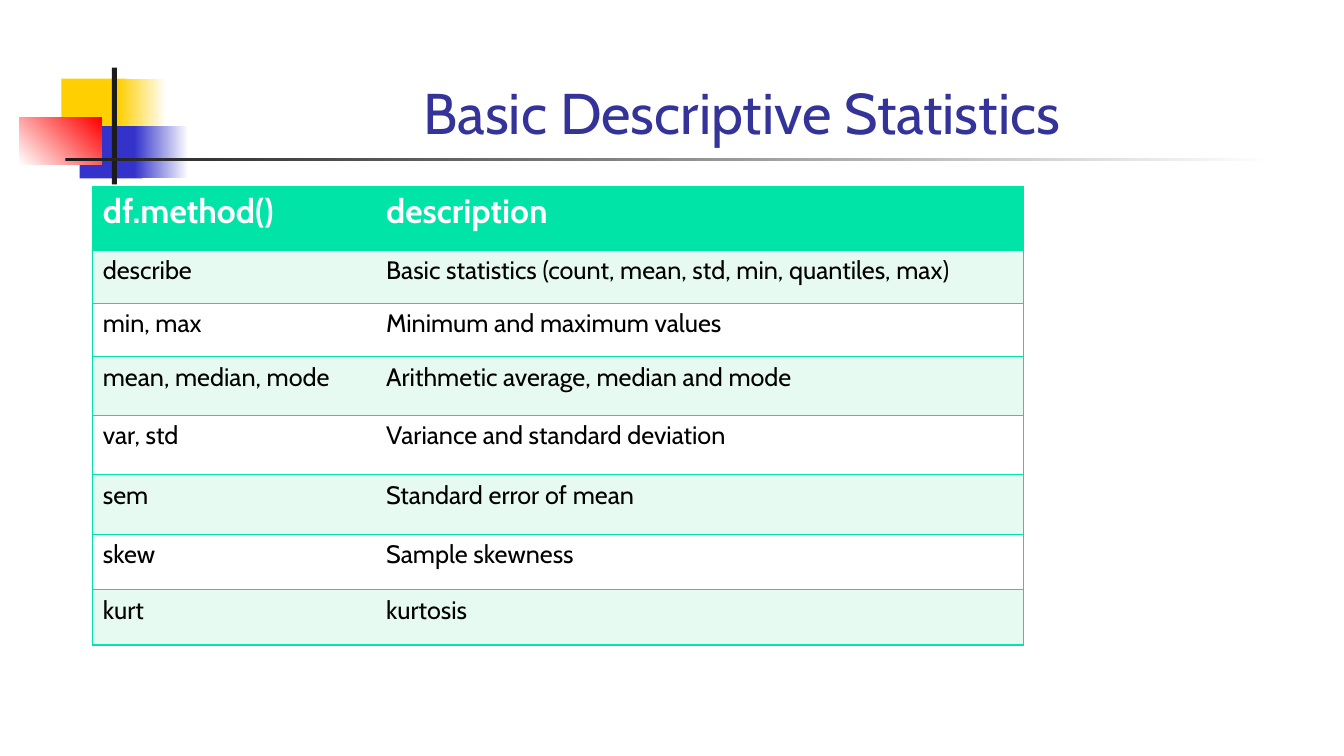
from lxml import etree
from pptx import Presentation, util as u
from pptx.dml.color import RGBColor
from pptx.enum import shapes, text
from pptx.oxml.ns import qn

FONT = "Cabin"
TITLE = "Basic Descriptive Statistics"
GREEN, MINT, WHITE, BLACK = "00E4A8", "E7FAF1", "FFFFFF", "000000"
GOLD, BLUE, RED, DARK, NAVY = "FFCF01", "3333CC", "FF0000", "1C1C1C", "333399"
NO_STYLE = "{2D5ABB26-0587-4C30-8999-92F81FD0307C}"

# left, top, width, height, colours (two make a gradient), gradient angle
MOTIF = [
    (0.61, 0.78, 0.64, 0.52, [GOLD], 0),
    (1.17, 0.78, 0.48, 0.52, [GOLD, WHITE], 0),
    (0.79, 1.25, 0.62, 0.52, [BLUE], 0),
    (1.33, 1.25, 0.54, 0.52, [BLUE, WHITE], 0),
    (0.19, 1.17, 0.82, 0.46, [WHITE, RED], 45),
    (1.11, 0.67, 0.05, 1.16, [DARK], 0),
    (0.65, 1.57, 12, 0.03, [DARK, WHITE], 0),
]
METHODS = [
    ("df.method()", "description"),
    ("describe", "Basic statistics (count, mean, std, min, quantiles, max)"),
    ("min, max", "Minimum and maximum values"),
    ("mean, median, mode", "Arithmetic average, median and mode"),
    ("var, std", "Variance and standard deviation"),
    ("sem", "Standard error of mean"),
    ("skew", "Sample skewness"),
    ("kurt", "kurtosis"),
]
COLS = [2.81, 6.42]
ROWS = [0.63, 0.53, 0.53, 0.58, 0.59, 0.59, 0.55, 0.55]


def rgb(code):
    """Turn a hex string into a colour."""
    return RGBColor.from_string(code)


def inches(*values):
    """Turn numbers into lengths."""
    return [u.Inches(v) for v in values]


def style(p, size, color, bold=False):
    """Set the font of a paragraph."""
    p.font.name, p.font.size, p.font.bold = FONT, u.Pt(size), bold
    p.font.color.rgb = rgb(color)


def add_block(s, left, top, width, height, colors, angle):
    """Add a borderless rectangle with a solid or gradient fill."""
    sp = s.shapes.add_shape(shapes.MSO_SHAPE.RECTANGLE,
                            *inches(left, top, width, height))
    sp.shadow.inherit = False
    sp.line.fill.background()
    if len(colors) == 1:
        sp.fill.solid()
        sp.fill.fore_color.rgb = rgb(colors[0])
        return
    sp.fill.gradient()
    sp.fill.gradient_angle = angle
    for stop, color in zip(sp.fill.gradient_stops, colors):
        stop.color.rgb = rgb(color)


def add_title(s):
    """Add the centred title, resting on the bottom of its box."""
    tf = s.shapes.add_textbox(*inches(1.68, 0.25, 11.36, 1.25)).text_frame
    tf.word_wrap = True
    tf.vertical_anchor = text.MSO_ANCHOR.BOTTOM
    p = tf.paragraphs[0]
    p.text, p.alignment = TITLE, text.PP_ALIGN.CENTER
    style(p, 41, NAVY)


def set_borders(cell, sides):
    """Draw thin green lines on the given sides, in L, R, T, B order."""
    tcPr = cell._tc.get_or_add_tcPr()
    for i, side in enumerate(sides):
        ln = etree.Element(qn("a:ln" + side), w=str(u.Pt(1)))
        fill = etree.SubElement(ln, qn("a:solidFill"))
        etree.SubElement(fill, qn("a:srgbClr"), val=GREEN)
        tcPr.insert(i, ln)


def add_methods(s):
    """Add the table of methods with banded rows and no inner columns."""
    frame = s.shapes.add_table(len(ROWS), len(COLS),
                               *inches(0.92, 1.85, sum(COLS), sum(ROWS)))
    table = frame.table
    table._tbl.tblPr.find(qn("a:tableStyleId")).text = NO_STYLE
    for col, width in zip(table.columns, COLS):
        col.width = u.Inches(width)
    for i, (row, words) in enumerate(zip(table.rows, METHODS)):
        row.height = u.Inches(ROWS[i])
        for cell, word, side in zip(row.cells, words, "LR"):
            cell.fill.solid()
            cell.fill.fore_color.rgb = rgb((MINT if i % 2 else WHITE) if i else GREEN)
            set_borders(cell, side + "TB")
            p = cell.text_frame.paragraphs[0]
            p.text = word
            if i:
                style(p, 18, BLACK)
            else:
                style(p, 24, WHITE, bold=True)


prs = Presentation()
prs.slide_width, prs.slide_height = inches(13.33, 7.5)
s = prs.slides.add_slide(prs.slide_layouts[6])
for block in MOTIF:
    add_block(s, *block)
add_title(s)
add_methods(s)
prs.save("out.pptx")
